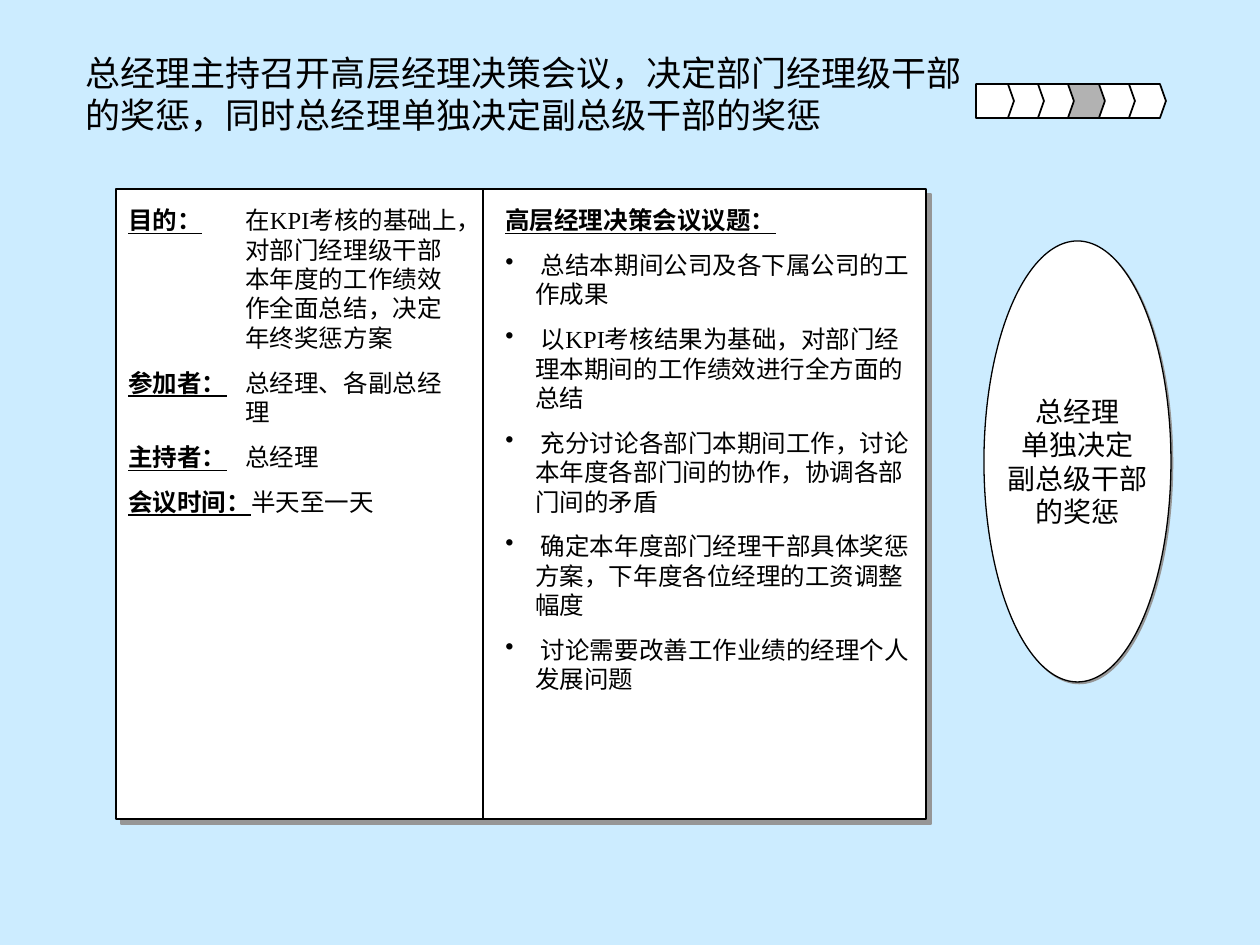
from lxml.etree import SubElement
from pptx import Presentation
from pptx.dml.color import RGBColor
from pptx.enum.shapes import MSO_CONNECTOR, MSO_SHAPE
from pptx.enum.text import MSO_ANCHOR, MSO_AUTO_SIZE, PP_ALIGN
from pptx.oxml.ns import qn
from pptx.util import Pt

LEFT, CENTER = PP_ALIGN.LEFT, PP_ALIGN.CENTER
TOP, MIDDLE = MSO_ANCHOR.TOP, MSO_ANCHOR.MIDDLE
PX = 914400 / 126
LATIN_FONT, ASIAN_FONT = "Times New Roman", "Noto Sans CJK SC"
BLACK, WHITE, GRAY, SKY, SHADOW = "000000", "FFFFFF", "B2B2B2", "CCECFF", "969696"

TITLE = "总经理主持召开高层经理决策会议，决定部门经理级干部的奖惩，同时总经理单独决定副总级干部的奖惩"
MEETING = [
    ("目的：", "\t在KPI考核的基础上，对部门经理级干部本年度的工作绩效作全面总结，决定年终奖惩方案"),
    ("参加者：", "\t总经理、各副总经理"),
    ("主持者：", "\t总经理"),
    ("会议时间：", "半天至一天"),
]
AGENDA_HEADING = "高层经理决策会议议题："
AGENDA = [
    " 总结本期间公司及各下属公司的工作成果",
    " 以KPI考核结果为基础，对部门经理本期间的工作绩效进行全方面的总结",
    " 充分讨论各部门本期间工作，讨论本年度各部门间的协作，协调各部门间的矛盾",
    " 确定本年度部门经理干部具体奖惩方案，下年度各位经理的工资调整幅度",
    " 讨论需要改善工作业绩的经理个人发展问题",
]
SOLE_DECISION = ["总经理", "单独决定", "副总级干部", "的奖惩"]
STEP_COUNT, ACTIVE_STEP = 6, 3
STEPS_LEFT, STEPS_TOP, STEPS_SPAN = 976, 84, 152
STEP_OUTLINE = [(0, 0), (32, 0), (38, 17), (32, 34), (0, 34)]


def px(value):
    return round(value * PX)


def color(value):
    return RGBColor.from_string(value)


def place(shape, left, top, width, height):
    shape.left, shape.top = px(left), px(top)
    shape.width, shape.height = px(width), px(height)


def paint(shape, fill, line_width):
    shape.shadow.inherit = False
    shape.fill.solid()
    shape.fill.fore_color.rgb = color(fill)
    shape.line.color.rgb = color(BLACK)
    shape.line.width = Pt(line_width)


def add_shadow(shape, distance):
    effects = shape._element.spPr.find(qn("a:effectLst"))
    shadow = SubElement(effects, qn("a:outerShdw"), dist=str(Pt(distance)),
                        dir="2700000", algn="ctr", rotWithShape="0")
    SubElement(shadow, qn("a:srgbClr"), val=SHADOW)


def write(shape, paragraphs, size=14, align=LEFT, anchor=TOP, gap=0, wrap=True):
    frame = shape.text_frame
    frame.auto_size = MSO_AUTO_SIZE.NONE
    frame.word_wrap = wrap
    frame.vertical_anchor = anchor
    for index, (heading, body, indent, bullet) in enumerate(paragraphs):
        paragraph = frame.add_paragraph() if index else frame.paragraphs[0]
        properties = paragraph._p.get_or_add_pPr()
        if indent:
            properties.set("marL", str(px(indent)))
            properties.set("indent", str(-px(indent)))
        if bullet:
            SubElement(properties, qn("a:buChar"), char="•")
        paragraph.alignment = align
        paragraph.line_spacing = Pt(size * 1.2)
        paragraph.space_before = Pt(gap if index else 0)
        for text, strong in ((heading, True), (body, False)):
            if text:
                run = paragraph.add_run()
                run.text = text
                font = run.font
                font.name = LATIN_FONT
                SubElement(run._r.get_or_add_rPr(), qn("a:ea"), typeface=ASIAN_FONT)
                font.size = Pt(size)
                font.bold = font.underline = strong
                font.color.rgb = color(BLACK)


def add_text(shapes, box, paragraphs, **formatting):
    shape = shapes.add_textbox(*(px(value) for value in box))
    write(shape, paragraphs, **formatting)


def add_steps(shapes):
    for step in reversed(range(STEP_COUNT)):
        left = STEPS_LEFT + step * STEPS_SPAN // (STEP_COUNT - 1)
        points = [(left + x, STEPS_TOP + y) for x, y in STEP_OUTLINE]
        builder = shapes.build_freeform(*points[0], scale=PX)
        builder.add_line_segments(points[1:], close=True)
        paint(builder.convert_to_shape(), GRAY if step == ACTIVE_STEP else WHITE, 1)


def add_panel(shapes, kind, box, line_width, shadow_distance):
    panel = shapes.add_shape(kind, *(px(value) for value in box))
    paint(panel, WHITE, line_width)
    add_shadow(panel, shadow_distance)
    return panel


def main():
    presentation = Presentation()
    presentation.slide_width, presentation.slide_height = px(1260), px(945)
    slide = presentation.slides.add_slide(presentation.slide_layouts[5])
    slide.background.fill.solid()
    slide.background.fill.fore_color.rgb = color(SKY)
    shapes = slide.shapes

    place(shapes.title, 73, 53, 903, 81)
    write(shapes.title, [("", TITLE, 0, False)], size=20, anchor=MIDDLE)
    add_steps(shapes)

    add_panel(shapes, MSO_SHAPE.RECTANGLE, (116, 189, 810, 630), 1.5, 4.2)
    meeting = [(heading, body, 117, False) for heading, body in MEETING]
    add_text(shapes, (116, 199, 357, 368), meeting, gap=8.8)

    divider = shapes.add_connector(MSO_CONNECTOR.STRAIGHT, px(483), px(189), px(483), px(819))
    divider.line.color.rgb = color(BLACK)
    divider.line.width = Pt(0.75)
    SubElement(divider._element.spPr, qn("a:effectLst"))

    agenda = [(AGENDA_HEADING, "", 0, False)]
    agenda += [("", topic, 30, True) for topic in AGENDA]
    add_text(shapes, (493, 199, 431, 591), agenda, gap=8.8)

    ellipse = add_panel(shapes, MSO_SHAPE.OVAL, (984, 241, 187, 441), 0.75, 1.4)
    write(ellipse, [("", line, 0, False) for line in SOLE_DECISION],
          size=16, align=CENTER, anchor=MIDDLE, wrap=False)

    presentation.save("out.pptx")


if __name__ == "__main__":
    main()
